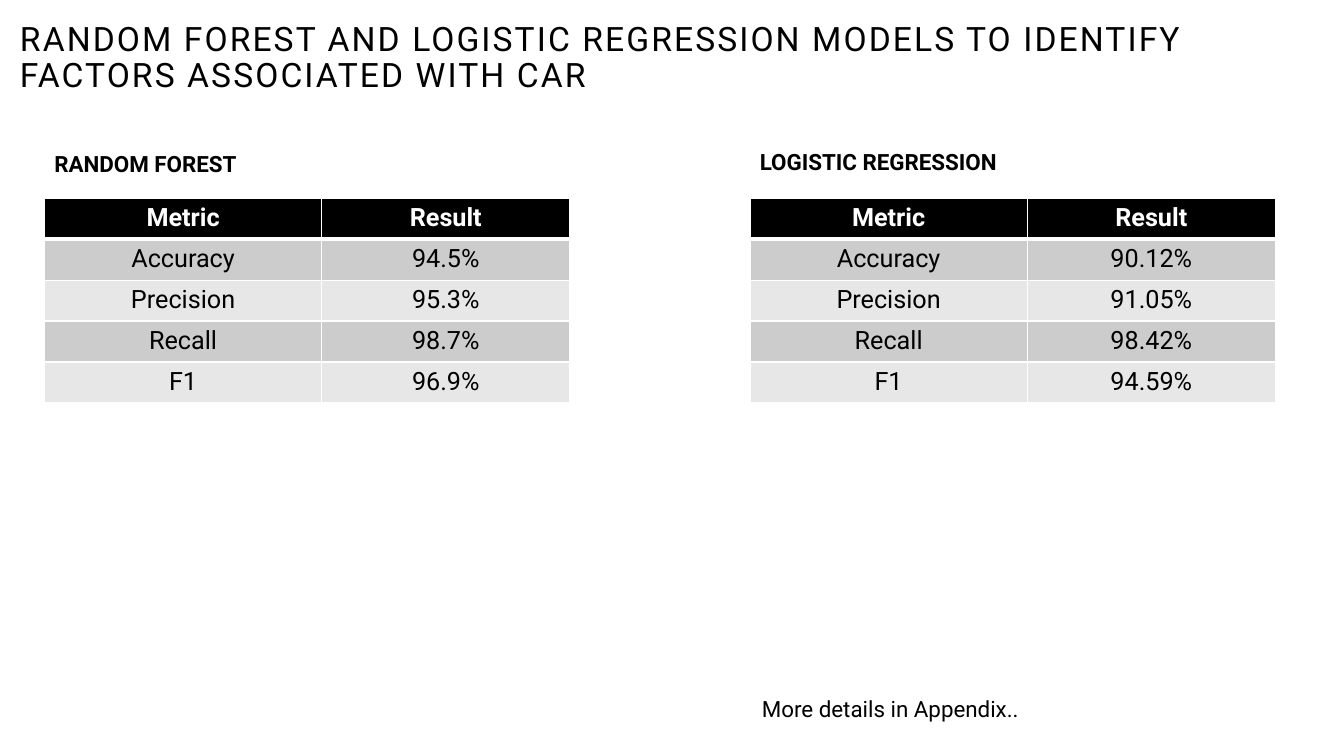
from dataclasses import dataclass

from lxml import etree
from pptx import Presentation
from pptx.dml.color import RGBColor
from pptx.enum.text import MSO_ANCHOR, MSO_AUTO_SIZE, PP_ALIGN
from pptx.oxml.ns import qn
from pptx.slide import Slide
from pptx.table import _Cell
from pptx.text.text import TextFrame
from pptx.util import Cm, Pt

LEFT, CENTER = PP_ALIGN.LEFT, PP_ALIGN.CENTER
MIDDLE = MSO_ANCHOR.MIDDLE
NO_FIT, GROW = MSO_AUTO_SIZE.NONE, MSO_AUTO_SIZE.SHAPE_TO_FIT_TEXT
TITLE_ONLY = 5


@dataclass(frozen=True)
class Theme:
    font: str = "Roboto"
    black: str = "000000"
    white: str = "FFFFFF"
    dark: str = "CCCCCC"
    light: str = "E7E7E7"
    title: int = 24
    cell: int = 18
    label: int = 16


@dataclass(frozen=True)
class Label:
    text: str
    left: float
    top: float
    bold: bool = False


@dataclass(frozen=True)
class Model:
    label: Label
    left: float
    scores: tuple[str, ...]


THEME = Theme()
TITLE = (
    "RANDOM FOREST AND LOGISTIC REGRESSION MODELS TO IDENTIFY "
    "FACTORS ASSOCIATED WITH CAR"
)
METRICS = ("Accuracy", "Precision", "Recall", "F1")
MODELS = (
    Model(Label("RANDOM FOREST", 1.12, 3.66, True), 1.12,
          ("94.5%", "95.3%", "98.7%", "96.9%")),
    Model(Label("LOGISTIC REGRESSION", 18.9, 3.61, True), 18.9,
          ("90.12%", "91.05%", "98.42%", "94.59%")),
)
NOTE = Label("More details in Appendix..", 18.95, 17.4)
TABLE_TOP, ROW_HEIGHT = 5.0, 1.03
COLUMNS = (6.99, 6.25)
LABEL_SIZE = (Cm(13.18), Cm(0.94))


def write(frame: TextFrame, text: str, size: int, color: str,
          bold: bool = False, align: PP_ALIGN = LEFT) -> None:
    frame.text = text
    line = frame.paragraphs[0]
    line.alignment = align
    font = line.runs[0].font
    font.name, font.size, font.bold = THEME.font, Pt(size), bold
    font.color.rgb = RGBColor.from_string(color)


def add_title(slide: Slide) -> None:
    title = slide.shapes.title
    title.left, title.top = Cm(0.25), Cm(0.33)
    title.width, title.height = Cm(33.38), Cm(2.31)
    frame = title.text_frame
    write(frame, TITLE, THEME.title, THEME.black)
    frame.word_wrap, frame.auto_size = True, NO_FIT
    frame.vertical_anchor = MIDDLE
    line = frame.paragraphs[0]
    line.line_spacing = 0.9
    line.runs[0].font._element.set("spc", "150")


def add_label(slide: Slide, label: Label) -> None:
    box = slide.shapes.add_textbox(Cm(label.left), Cm(label.top), *LABEL_SIZE)
    frame = box.text_frame
    frame.word_wrap, frame.auto_size = True, GROW
    write(frame, label.text, THEME.label, THEME.black, label.bold)


def set_borders(cell: _Cell, top: int, bottom: int) -> None:
    """Draw white borders; top and bottom are widths in points."""
    props = cell._tc.get_or_add_tcPr()
    widths = {"lnL": 1, "lnR": 1, "lnT": top, "lnB": bottom}
    for place, (tag, width) in enumerate(widths.items()):
        line = etree.Element(qn(f"a:{tag}"), w=str(Pt(width)))
        fill = etree.SubElement(line, qn("a:solidFill"))
        etree.SubElement(fill, qn("a:srgbClr"), val=THEME.white)
        props.insert(place, line)


def add_scores(slide: Slide, model: Model) -> None:
    rows = [("Metric", "Result"), *zip(METRICS, model.scores)]
    table = slide.shapes.add_table(
        len(rows), len(COLUMNS), Cm(model.left), Cm(TABLE_TOP),
        Cm(sum(COLUMNS)), Cm(ROW_HEIGHT * len(rows)),
    ).table
    for column, width in zip(table.columns, COLUMNS):
        column.width = Cm(width)
    for i, row in enumerate(rows):
        table.rows[i].height = Cm(ROW_HEIGHT)
        head = i == 0
        band = THEME.dark if i % 2 else THEME.light
        for j, text in enumerate(row):
            cell = table.cell(i, j)
            write(cell.text_frame, text, THEME.cell,
                  THEME.white if head else THEME.black, head, CENTER)
            cell.fill.solid()
            cell.fill.fore_color.rgb = RGBColor.from_string(
                THEME.black if head else band)
            set_borders(cell, 3 if i == 1 else 1, 3 if head else 1)


def main() -> None:
    deck = Presentation()
    deck.slide_width, deck.slide_height = Cm(33.87), Cm(19.05)
    slide = deck.slides.add_slide(deck.slide_layouts[TITLE_ONLY])
    add_title(slide)
    for model in MODELS:
        add_scores(slide, model)
        add_label(slide, model.label)
    add_label(slide, NOTE)
    deck.save("out.pptx")


if __name__ == "__main__":
    main()
